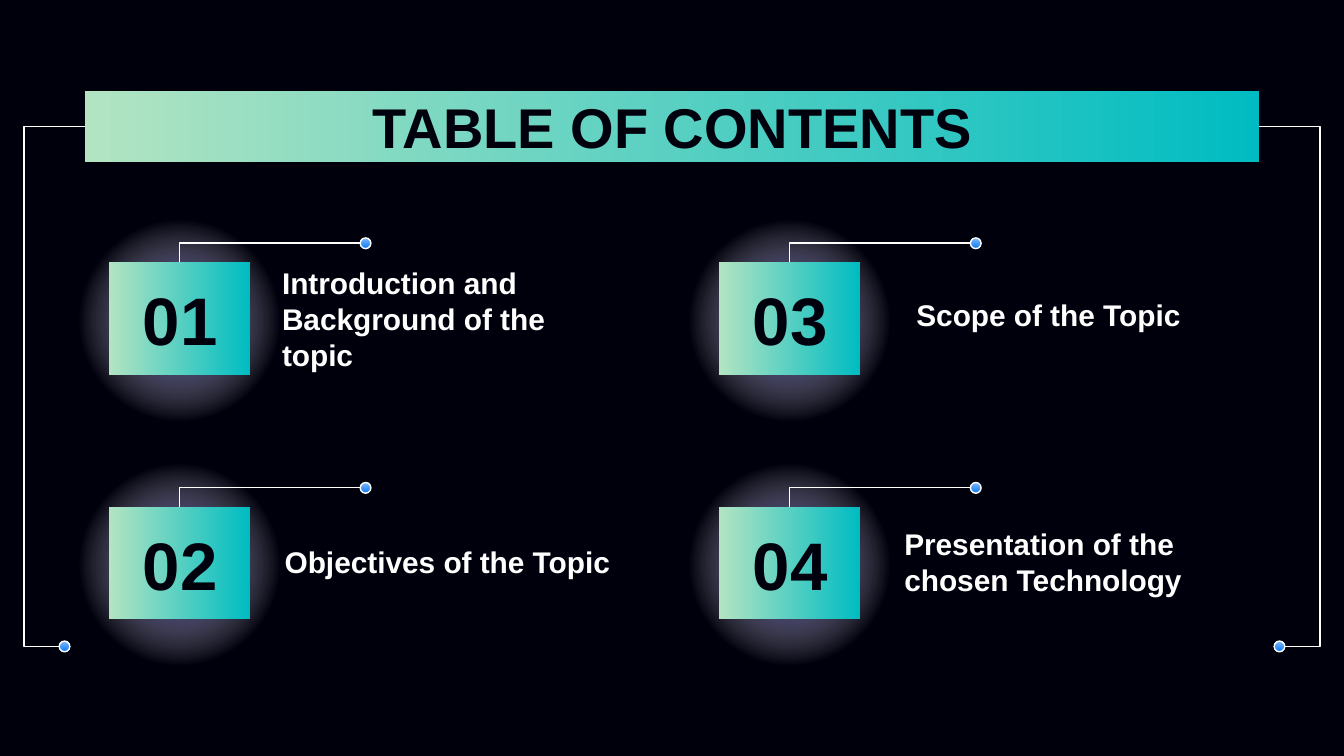
from lxml import etree
from pptx import Presentation
from pptx import util as u
from pptx.dml.color import RGBColor
from pptx.enum import shapes, text
from pptx.oxml import parse_xml
from pptx.oxml.ns import nsdecls, qn

I = u.Inches
DARK, WHITE = "00000D", "FFFFFF"
TEAL = [(0, "00BCC2", 100), (100, "B2E4C2", 100)]
BLUE = [(0, "82BCFE", 100), (100, "0C77F1", 100)]
GLOW = [(0, "170F8D", 100), (61, WHITE, 0), (100, WHITE, 0)]
LINEAR = '<a:lin ang="{}" scaled="0"/>'
RADIAL = ('<a:path path="circle"><a:fillToRect l="50000" t="50000" '
          'r="50000" b="50000"/></a:path>')


def color(value):
    """Turn a hex string into a colour."""
    return RGBColor.from_string(value)


def add_gradient_shape(parent, kind, x, y, w, h, stops, direction):
    """Add a preset shape with a gradient fill and no outline."""
    sp = parent.add_shape(kind, I(x), I(y), I(w), I(h))
    sp.shadow.inherit = False
    sp.line.fill.background()
    sp.fill.gradient()
    gs = "".join(
        f'<a:gs pos="{pos * 1000}"><a:srgbClr val="{c}">'
        f'<a:alpha val="{alpha * 1000}"/></a:srgbClr></a:gs>'
        for pos, c, alpha in stops)
    grad = parse_xml(f'<a:gradFill {nsdecls("a")} rotWithShape="1">'
                     f'<a:gsLst>{gs}</a:gsLst>{direction}</a:gradFill>')
    spPr = sp._element.spPr
    spPr.replace(spPr.find(qn("a:gradFill")), grad)
    return sp


def add_bar(parent, x, y, w, h):
    """Add a rectangle that runs from green to teal."""
    return add_gradient_shape(parent, shapes.MSO_SHAPE.RECTANGLE, x, y, w, h,
                              TEAL, LINEAR.format(180 * 60000))


def add_wire(s, dot_x, begin, end, preset, bend=None):
    """Add a grouped elbow line whose first end carries a blue dot."""
    parent = s.shapes.add_group_shape().shapes
    dot = add_gradient_shape(parent, shapes.MSO_SHAPE.OVAL, dot_x,
                             begin[1] - 0.04, 0.08, 0.08,
                             BLUE, LINEAR.format(90 * 60000))
    dot.line.color.rgb = color(WHITE)
    dot.line.width = u.Pt(0.75)
    wire = parent.add_connector(shapes.MSO_CONNECTOR.ELBOW,
                                *[I(v) for v in (*begin, *end)])
    wire.line.color.rgb = color(WHITE)
    wire.line.width = u.Pt(0.75)
    spPr = wire._element.spPr
    etree.SubElement(spPr, qn("a:effectLst"))
    geom = spPr.find(qn("a:prstGeom"))
    geom.set("prst", preset)
    if bend is not None:
        etree.SubElement(geom.find(qn("a:avLst")), qn("a:gd"),
                         name="adj1", fmla=f"val {round(bend * 100000)}")


def set_text(sp, words, size, c, align, anchor):
    """Write bold text in a box with even insets."""
    tf = sp.text_frame
    tf.word_wrap = True
    tf.auto_size = text.MSO_AUTO_SIZE.NONE
    tf.vertical_anchor = anchor
    tf.margin_left = tf.margin_right = tf.margin_top = tf.margin_bottom = I(0.1)
    p = tf.paragraphs[0]
    p.text = words
    p.alignment = align
    p.font.name, p.font.size, p.font.bold = "Arial", u.Pt(size), True
    p.font.color.rgb = color(c)


def add_text(s, x, y, w, h, *style):
    """Add a text box with vertically centred text."""
    sp = s.shapes.add_textbox(I(x), I(y), I(w), I(h))
    set_text(sp, *style, text.MSO_ANCHOR.MIDDLE)


def add_header(s, x, y, w, h):
    """Place the title bar, its title and the two side brackets."""
    add_bar(s.shapes, x, y, w, h)
    middle, low, reach = y + 0.26, y + 4.13, 0.19
    for edge, side in ((x, -1), (x + w, 1)):
        start = edge + side * reach
        add_wire(s, min(start, start - side * 0.08), (start, low),
                 (edge, middle), "bentConnector3", -1.37)
    title = s.shapes.title
    title.left, title.top = I(x + 0.16), I(y - 0.09)
    title.width, title.height = I(8.43), I(0.63)
    s.shapes._spTree.append(title._element)
    set_text(title, "TABLE OF CONTENTS", 30, DARK, text.PP_ALIGN.CENTER,
             text.MSO_ANCHOR.TOP)


def add_entry(s, x, y, w, h, number, label, dx, dy):
    """Place one numbered entry: glow, box, wire, number and label."""
    add_gradient_shape(s.shapes, shapes.MSO_SHAPE.OVAL, x - 0.36, y - 0.42,
                       1.77, 1.71, GLOW, RADIAL)
    add_bar(s.shapes, x, y, w, h)
    add_wire(s, x + 1.87, (x + 1.87, y - 0.14), (x + w / 2, y),
             "bentConnector2")
    add_text(s, x + 0.09, y + 0.13, 0.88, 0.58, number, 36, DARK,
             text.PP_ALIGN.CENTER)
    add_text(s, x + dx, y + dy, 2.69, 0.58, label, 16, WHITE,
             text.PP_ALIGN.LEFT)


def main():
    """Build the contents slide and save it."""
    prs = Presentation()
    prs.slide_width, prs.slide_height = I(10), I(10 * 9 / 16)
    s = prs.slides.add_slide(prs.slide_layouts[5])
    s.background.fill.solid()
    s.background.fill.fore_color.rgb = color(DARK)
    entries = [
        ("Introduction and Background of the topic", 1.19, 0.13),
        ("Objectives of the Topic", 1.21, 0.12),
        ("Scope of the Topic", 1.37, 0.1),
        ("Presentation of the chosen Technology", 1.28, 0.12),
    ]
    for i, entry in enumerate(entries):
        col, row = divmod(i, 2)
        add_entry(s, 0.81 + col * 4.54, 1.95 + row * 1.82, 1.05, 0.84,
                  f"{i + 1:02}", *entry)
    add_header(s, 0.63, 0.68, 8.74, 0.53)
    prs.save("out.pptx")


if __name__ == "__main__":
    main()
